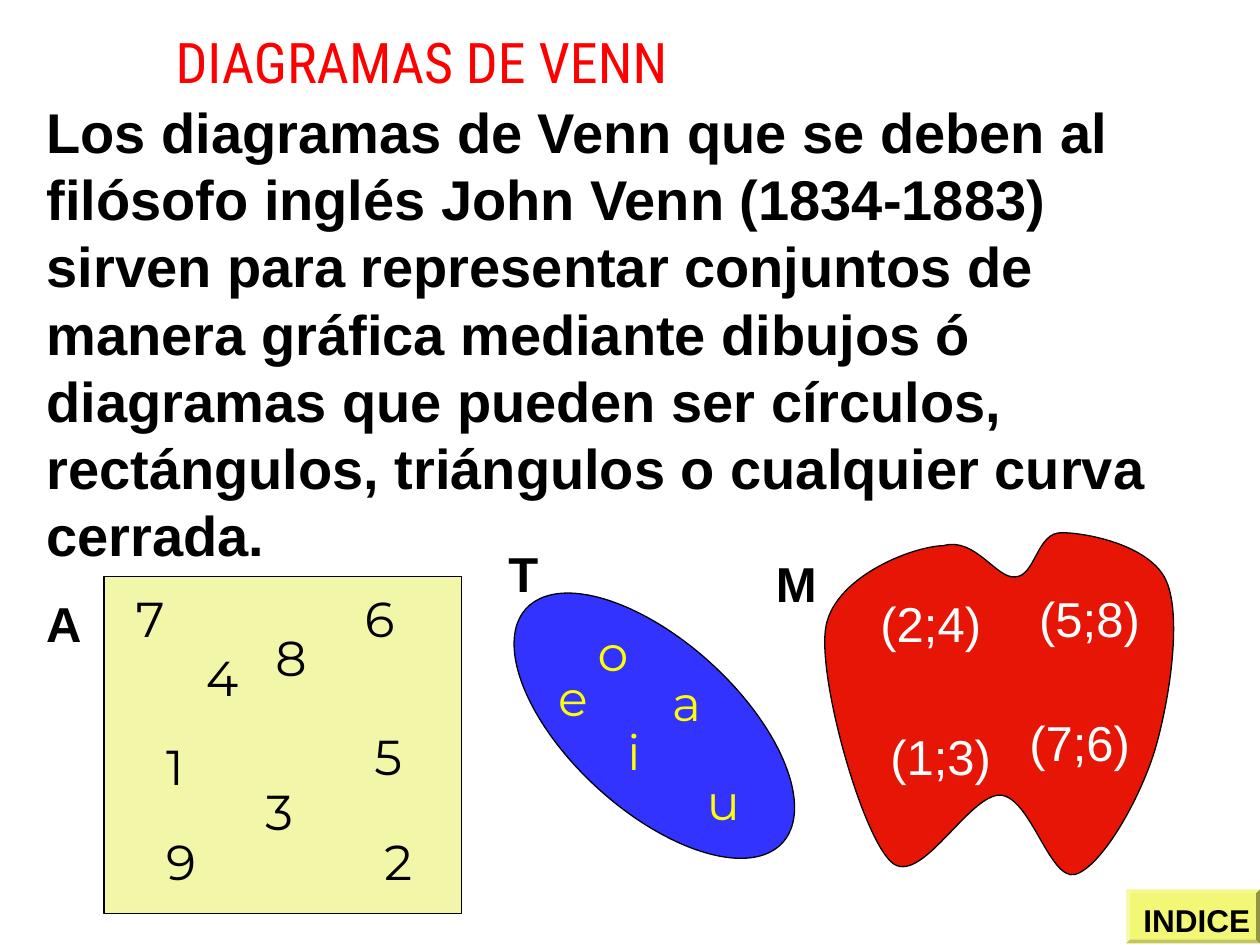
from itertools import chain

from lxml import etree
from pptx import Presentation
from pptx import util as u
from pptx.dml.color import RGBColor
from pptx.enum import shapes, text
from pptx.oxml import ns


def rgb(value):
    return RGBColor.from_string(value)


def write(sp, content, font="Arial", size=28, color="000000", bold=False, wrap=True):
    tf = sp.text_frame
    tf.word_wrap = wrap
    fit = text.MSO_AUTO_SIZE
    tf.auto_size = fit.SHAPE_TO_FIT_TEXT if wrap else fit.NONE
    p = tf.paragraphs[0]
    r = p.add_run()
    r.text = content
    r.font.name = font
    r.font.size = u.Pt(size)
    r.font.bold = bold
    r.font.color.rgb = rgb(color)


def round_off(sp):
    lines = list(sp.element.iter(ns.qn("a:lnTo")))
    for i in range(0, len(lines), 3):
        curve = etree.Element(ns.qn("a:cubicBezTo"))
        lines[i].addprevious(curve)
        for line in lines[i:i + 3]:
            curve.append(line[0])
            line.getparent().remove(line)


class VennSlide:
    outline = "000000"
    outline_width = 0.75

    def __init__(self, prs):
        self.s = prs.slides.add_slide(prs.slide_layouts[6])

    def paint(self, sp, fill, outlined=True):
        sp.shadow.inherit = False
        sp.fill.solid()
        sp.fill.fore_color.rgb = rgb(fill)
        if outlined:
            sp.line.color.rgb = rgb(self.outline)
            sp.line.width = u.Pt(self.outline_width)
        else:
            sp.line.fill.background()

    def label(self, content, x, y, w, h=1.45, **style):
        sp = self.s.shapes.add_textbox(u.Cm(x), u.Cm(y), u.Cm(w), u.Cm(h))
        write(sp, content, **style)

    def labels(self, places, **style):
        for content, x, y, w in places:
            self.label(content, x, y, w, **style)

    def shape(self, kind, x, y, w, h, fill, rotation=0, outlined=True):
        sp = self.s.shapes.add_shape(kind, u.Cm(x), u.Cm(y), u.Cm(w), u.Cm(h))
        sp.rotation = rotation
        self.paint(sp, fill, outlined)
        return sp

    def closed_curve(self, start, segments, fill):
        points = [(u.Cm(x), u.Cm(y)) for x, y in chain.from_iterable(segments)]
        builder = self.s.shapes.build_freeform(u.Cm(start[0]), u.Cm(start[1]))
        builder.add_line_segments(points, close=True)
        sp = builder.convert_to_shape()
        round_off(sp)
        self.paint(sp, fill)


SET_NAMES = [("A", 0.68, 11.84, 1.6), ("M", 15.39, 11.04, 1.6), ("T", 10, 10.84, 1.6)]
NUMBERS = [
    ("7", 2.49, 11.73, 1), ("2", 7.5, 16.64, 1), ("3", 5.1, 15.62, 1),
    ("6", 7.1, 11.73, 1), ("9", 3.1, 16.64, 1), ("8", 5.3, 12.52, 1.4),
    ("4", 3.9, 12.93, 1), ("1", 3.1, 14.73, 1), ("5", 7.3, 14.53, 1),
]
VOWELS = [
    ("a", 13.3, 13.44, 1), ("e", 11, 13.34, 1.2), ("i", 12.4, 14.43, 1),
    ("o", 11.8, 12.42, 1), ("u", 14, 15.42, 1),
]
PAIRS = [
    ("(1;3)", 17.7, 14.53, 2.59), ("(7;6)", 20.5, 14.24, 2.59),
    ("(2;4)", 17.5, 11.84, 2.59), ("(5;8)", 20.7, 11.73, 2.59),
]
CURVE_START = (19.02, 11)
CURVE = [
    ((19.66, 10.82), (20.09, 11.68), (20.47, 11.63)),
    ((20.88, 11.61), (20.9, 10.72), (21.41, 10.74)),
    ((21.92, 10.74), (23.22, 11), (23.52, 11.73)),
    ((23.83, 12.47), (23.57, 14.17), (23.27, 15.16)),
    ((22.96, 16.15), (22.2, 17.48), (21.67, 17.63)),
    ((21.16, 17.75), (20.78, 16.08), (20.17, 16.03)),
    ((19.53, 16), (18.54, 17.93), (17.96, 17.37)),
    ((17.37, 16.81), (16.51, 13.77), (16.64, 12.7)),
    ((16.76, 11.66), (18.36, 11.02), CURVE_START),
]
DEFINITION = (
    "Los diagramas de Venn que se deben al filósofo inglés John Venn (1834-1883) "
    "sirven para representar conjuntos de manera gráfica mediante dibujos ó "
    "diagramas que pueden ser círculos, rectángulos, triángulos o cualquier curva "
    "cerrada."
)


def main():
    prs = Presentation()
    prs.slide_width, prs.slide_height = u.Cm(25.4), u.Cm(19.05)
    venn = VennSlide(prs)
    kinds = shapes.MSO_SHAPE

    venn.label("DIAGRAMAS DE VENN", 3.29, 0.43, 18, 1.4, font="Roboto Condensed",
               size=32, color="FF0000", wrap=False)
    venn.label(DEFINITION, 0.69, 1.84, 24, 9.75, size=32, bold=True)

    venn.shape(kinds.RECTANGLE, 2.1, 11.62, 7.2, 6.8, "F2F6A8")
    venn.shape(kinds.OVAL, 9.69, 12.93, 7, 3.4, "3333FF", rotation=42.4)
    venn.closed_curve(CURVE_START, CURVE, "E71505")

    venn.labels(SET_NAMES, bold=True)
    venn.labels(NUMBERS, font="Montserrat")
    venn.labels(VOWELS, font="Montserrat", color="FFFF00")
    venn.labels(PAIRS, color="FFFFFF")

    button = venn.shape(kinds.BEVEL, 22.7, 17.93, 2.7, 1.09, "F2F876", outlined=False)
    button.adjustments[0] = 0.07
    venn.label("INDICE", 22.8, 18.03, 3.1, 1.02, size=18, bold=True)

    prs.save("out.pptx")


if __name__ == "__main__":
    main()
